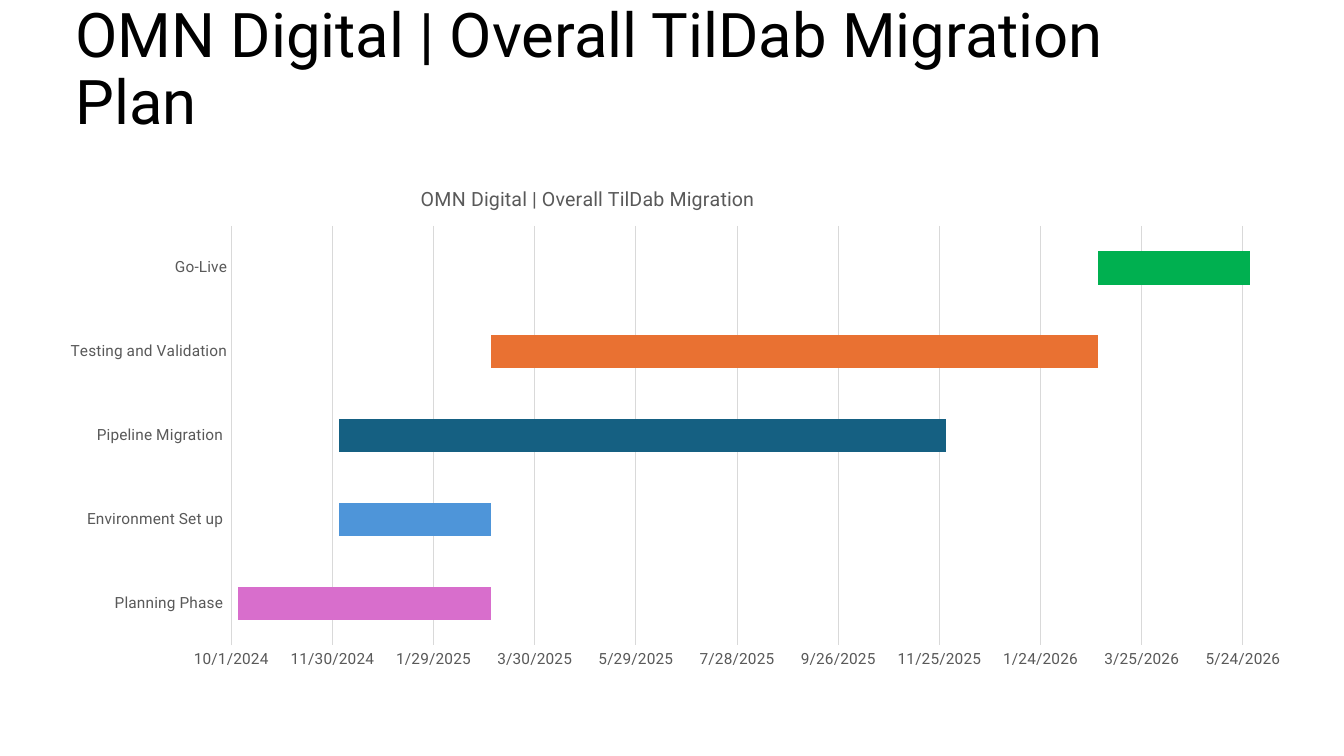
"""Build a one-slide migration plan with a Gantt-style chart."""
import lxml.etree
import pptx
import pptx.chart.data
import pptx.dml.color
import pptx.enum.chart
import pptx.enum.text
import pptx.oxml.ns
import pptx.util

WIDTH = pptx.util.Inches(13.33)
HEIGHT = pptx.util.Inches(7.5)
FONT = "Roboto"
COLORS = {
    "title": "000000",
    "label": "595959",
    "grid": "D9D9D9",
    "planning": "D86ECC",
    "environment": "4E95D9",
    "pipeline": "156082",
    "testing": "E97132",
    "live": "00B050",
}
PHASES = [
    ("Planning Phase ", 45570, 150, "planning"),
    ("Environment Set up ", 45630, 90, "environment"),
    ("Pipeline Migration ", 45630, 360, "pipeline"),
    ("Testing and Validation", 45720, 360, "testing"),
    ("Go-Live", 46080, 90, "live"),
]
TITLE_AREA = (0.0488, 0.0267, 0.8627, 0.1347)
CHART_AREA = (0.0338, 0.22, 0.9377, 0.6787)
PLOT_LAYOUT = {"x": 0.1475, "y": 0.116, "w": 0.8135, "h": 0.818}
CHART_TITLE_LAYOUT = {"x": 0.295, "y": 0.03}


def color(name):
    return pptx.dml.color.RGBColor.from_string(COLORS[name])


def area(left, top, width, height):
    shares = ((left, WIDTH), (top, HEIGHT), (width, WIDTH), (height, HEIGHT))
    return [int(share * length) for share, length in shares]


def set_attributes(target, values):
    for name, value in values.items():
        setattr(target, name, value)


def set_font(font, size, color_name):
    set_attributes(font, {"name": FONT, "size": pptx.util.Pt(size), "bold": False})
    font.color.rgb = color(color_name)


def set_line(line, color_name):
    line.color.rgb = color(color_name)
    line.width = pptx.util.Pt(0.75)


def set_layout(parent, shares, inner=False):
    qn = pptx.oxml.ns.qn
    layout = parent.find(qn("c:layout"))
    if layout is None:
        layout = lxml.etree.Element(qn("c:layout"))
        parent.insert(0, layout)
    manual = lxml.etree.SubElement(layout, qn("c:manualLayout"))
    values = {"layoutTarget": "inner"} if inner else {}
    values.update({"xMode": "edge", "yMode": "edge"})
    values.update(shares)
    for name, value in values.items():
        lxml.etree.SubElement(manual, qn(f"c:{name}"), val=str(value))


def add_title(slide, text):
    frame = slide.shapes.add_textbox(*area(*TITLE_AREA)).text_frame
    set_attributes(frame, {
        "word_wrap": True,
        "auto_size": pptx.enum.text.MSO_AUTO_SIZE.NONE,
        "vertical_anchor": pptx.enum.text.MSO_ANCHOR.MIDDLE,
    })
    paragraph = frame.paragraphs[0]
    paragraph.line_spacing = 0.9
    run = paragraph.add_run()
    run.text = text
    set_font(run.font, 44, "title")


def style_chart_title(chart, text):
    chart.has_title = True
    paragraph = chart.chart_title.text_frame.paragraphs[0]
    run = paragraph.add_run()
    run.text = text
    set_font(run.font, 14, "label")
    set_layout(chart.chart_title.element, CHART_TITLE_LAYOUT)


def style_axes(chart):
    category_axis, date_axis = chart.category_axis, chart.value_axis
    no_tick = pptx.enum.chart.XL_TICK_MARK.NONE
    for axis in (category_axis, date_axis):
        set_attributes(axis, {"major_tick_mark": no_tick, "minor_tick_mark": no_tick})
        set_font(axis.tick_labels.font, 11, "label")
    set_line(category_axis.format.line, "grid")
    set_attributes(date_axis, {
        "minimum_scale": 45566,
        "maximum_scale": 46174,
        "major_unit": 60,
        "has_major_gridlines": True,
    })
    set_attributes(date_axis.tick_labels, {
        "number_format": "m/d/yyyy",
        "number_format_is_linked": False,
    })
    date_axis.format.line.fill.background()
    set_line(date_axis.major_gridlines.format.line, "grid")


def style_bars(plot, color_names):
    set_attributes(plot, {"gap_width": 150, "overlap": 100, "vary_by_categories": False})
    starts, durations = plot.series
    starts.format.fill.background()
    starts.format.line.fill.background()
    durations.format.fill.solid()
    durations.format.fill.fore_color.rgb = color("testing")
    for index, name in enumerate(color_names):
        fill = durations.points[index].format.fill
        fill.solid()
        fill.fore_color.rgb = color(name)


def add_gantt(slide, title, phases):
    names, starts, durations, color_names = zip(*phases)
    data = pptx.chart.data.CategoryChartData()
    data.categories = names
    data.add_series("Series 1", starts)
    data.add_series("Series 2", durations)
    chart = slide.shapes.add_chart(
        pptx.enum.chart.XL_CHART_TYPE.BAR_STACKED, *area(*CHART_AREA), data
    ).chart
    chart.has_legend = False
    set_font(chart.font, 10, "title")
    style_chart_title(chart, title)
    style_axes(chart)
    style_bars(chart.plots[0], color_names)
    set_layout(chart.element.xpath(".//c:plotArea")[0], PLOT_LAYOUT, inner=True)


def main():
    presentation = pptx.Presentation()
    set_attributes(presentation, {"slide_width": WIDTH, "slide_height": HEIGHT})
    slide = presentation.slides.add_slide(presentation.slide_layouts[6])
    heading = "OMN Digital | Overall TilDab Migration"
    add_title(slide, f"{heading} Plan")
    add_gantt(slide, heading, PHASES)
    presentation.save("out.pptx")


if __name__ == "__main__":
    main()
